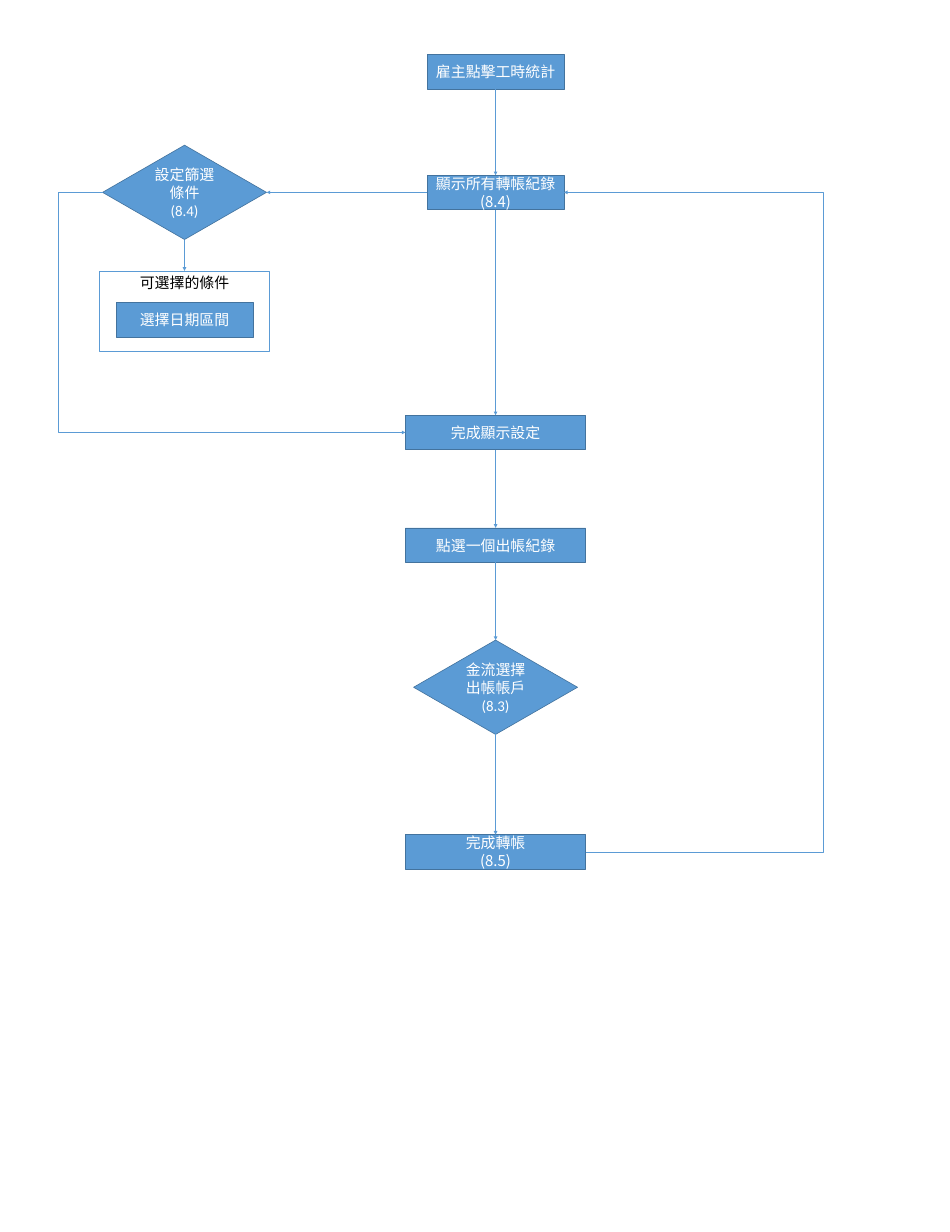
import pptx
import pptx.dml.color
import pptx.enum.shapes
import pptx.enum.text
import pptx.oxml
import pptx.oxml.ns
import pptx.util

Cm, Pt = pptx.util.Cm, pptx.util.Pt
SHAPE = pptx.enum.shapes.MSO_SHAPE
CONNECTOR = pptx.enum.shapes.MSO_CONNECTOR
ANCHOR = pptx.enum.text.MSO_ANCHOR

BLUE, DARK_BLUE, WHITE, BLACK = "5B9BD5", "43739E", "FFFFFF", "000000"
CJK_FONT, LATIN_FONT = "Noto Sans CJK SC", "Calibri"
MAIN_X, FILTER_X = 28.17, 10.49  # centre lines of the two columns, in cm
TOP, LEFT, BOTTOM, RIGHT = range(4)  # connection sites

# kind: width and height in cm, and the format
KINDS = {
    "box": (7.77, 1.95, {}),
    "wide": (10.24, 1.95, {}),
    "decision": (9.32, 5.36, {"shape": SHAPE.DIAMOND, "font": LATIN_FONT}),
    "panel": (9.68, 4.6, {"font": LATIN_FONT, "fill": WHITE, "line": BLUE,
                          "color": BLACK, "anchor": ANCHOR.TOP}),
}

# name: kind, centre x, centre y, text ("\n" new paragraph, "\v" line break)
STEPS = {
    "start": ("box", MAIN_X, 4.08, "雇主點擊工時統計"),
    "records": ("box", MAIN_X, 10.93, "顯示所有轉帳紀錄\n(8.4)"),
    "filter": ("decision", FILTER_X, 10.93, "設定篩選條件\v(8.4)"),
    "options": ("panel", FILTER_X, 17.69, "可選擇的條件"),
    "dates": ("box", FILTER_X, 18.17, "選擇日期區間"),
    "shown": ("wide", MAIN_X, 24.57, "完成顯示設定"),
    "pick": ("wide", MAIN_X, 30.97, "點選一個出帳紀錄"),
    "account": ("decision", MAIN_X, 39.05, "金流選擇出帳帳戶\v(8.3)"),
    "done": ("wide", MAIN_X, 48.4, "完成轉帳\n(8.5)"),
}

# from, site, to, site, x of the bend in cm (None for a straight arrow)
ARROWS = [
    ("start", BOTTOM, "records", TOP, None),
    ("records", BOTTOM, "shown", TOP, None),
    ("records", LEFT, "filter", RIGHT, None),
    ("filter", BOTTOM, "options", TOP, None),
    ("shown", BOTTOM, "pick", TOP, None),
    ("pick", BOTTOM, "account", TOP, None),
    ("account", BOTTOM, "done", TOP, None),
    ("filter", LEFT, "shown", LEFT, 3.3),
    ("done", RIGHT, "records", RIGHT, 46.79),
]


def rgb(code):
    """Turn a hex string into a colour."""
    return pptx.dml.color.RGBColor.from_string(code)


def add_child(parent, tag, **attributes):
    """Append an XML element with the given attributes."""
    child = pptx.oxml.parse_xml(f"<{tag} {pptx.oxml.ns.nsdecls('a')}/>")
    for key, value in attributes.items():
        child.set(key, value)
    parent.append(child)


def write_text(box, text, font=CJK_FONT, color=WHITE, size=24, anchor=ANCHOR.MIDDLE):
    """Fill a shape with centred text."""
    frame = box.text_frame
    frame.text = text
    frame.word_wrap = True
    frame.vertical_anchor = anchor
    for para in frame.paragraphs:
        para.alignment = pptx.enum.text.PP_ALIGN.CENTER
        para.line_spacing = Pt(29)
        for span in para.runs:
            span.font.size = Pt(size)
            span.font.color.rgb = rgb(color)
            span.font.name = font
            add_child(span.font._element, "a:ea", typeface=CJK_FONT)


def add_step(page, kind, center_x, center_y, text):
    """Draw one step around its centre."""
    width, height, style = KINDS[kind]
    style = {"shape": SHAPE.RECTANGLE, "fill": BLUE, "line": DARK_BLUE, **style}
    box = page.shapes.add_shape(
        style.pop("shape"), Cm(center_x - width / 2), Cm(center_y - height / 2),
        Cm(width), Cm(height))
    box.shadow.inherit = False
    box.fill.solid()
    box.fill.fore_color.rgb = rgb(style.pop("fill"))
    box.line.color.rgb = rgb(style.pop("line"))
    box.line.width = Pt(1)
    write_text(box, text, **style)
    return box


def add_arrow(page, source, source_site, target, target_site, bend_x):
    """Join two steps with an arrow, bent at bend_x if that is given."""
    kind = CONNECTOR.STRAIGHT if bend_x is None else CONNECTOR.ELBOW
    arrow = page.shapes.add_connector(kind, 0, 0, 0, 0)
    arrow.begin_connect(source, source_site)
    arrow.end_connect(target, target_site)
    arrow.line.color.rgb = rgb(BLUE)
    arrow.line.width = Pt(0.5)
    add_child(arrow.line._get_or_add_ln(), "a:tailEnd", type="triangle")
    properties = arrow._element.spPr
    add_child(properties, "a:effectLst")
    if bend_x is not None:
        share = (Cm(bend_x) - arrow.begin_x) / (arrow.end_x - arrow.begin_x)
        guides = properties.find(".//" + pptx.oxml.ns.qn("a:avLst"))
        add_child(guides, "a:gd", name="adj1", fmla=f"val {round(share * 100000)}")


deck = pptx.Presentation()
deck.slide_width, deck.slide_height = Cm(54), Cm(70)
page = deck.slides.add_slide(deck.slide_layouts[6])
boxes = {name: add_step(page, *step) for name, step in STEPS.items()}
for source, source_site, target, target_site, bend_x in ARROWS:
    add_arrow(page, boxes[source], source_site, boxes[target], target_site, bend_x)
deck.save("out.pptx")
